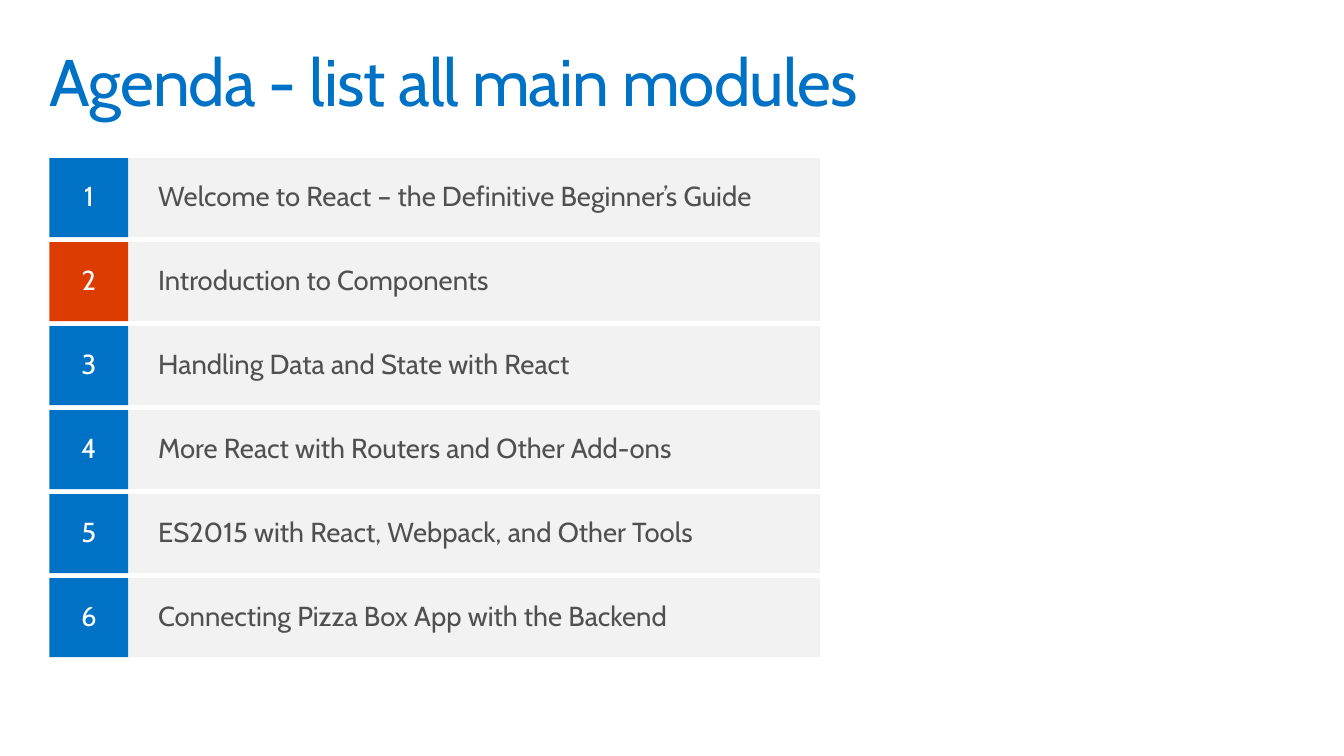
from dataclasses import dataclass

from pptx import Presentation
from pptx import util as u
from pptx.dml.color import RGBColor
from pptx.enum import shapes, text


@dataclass(frozen=True)
class Theme:
    font: str = "Cabin"
    blue: str = "0072C6"
    orange: str = "DC3C00"
    panel: str = "F2F2F2"
    ink: str = "505050"
    white: str = "FFFFFF"
    title_size: int = 48
    body_size: int = 20


MODULES = [
    "Welcome to React – the Definitive Beginner’s Guide",
    "Introduction to Components",
    "Handling Data and State with React",
    "More React with Routers and Other Add-ons",
    "ES2015 with React, Webpack, and Other Tools",
    "Connecting Pizza Box App with the Backend",
]
CURRENT_MODULE = 2
LEFT, TOP = 0.5, 1.6
ROW_HEIGHT, ROW_GAP = 0.8, 0.05
LABEL_WIDTH = 7


def write(tf, content, *, font, size, color, align=text.PP_ALIGN.LEFT,
          anchor=text.MSO_ANCHOR.MIDDLE, inset=(0.1, 0.1), spacing=None):
    """Fill a text frame; inset is (horizontal, vertical) in inches, spacing in points."""
    tf.word_wrap = True
    tf.auto_size = text.MSO_AUTO_SIZE.NONE
    tf.vertical_anchor = anchor
    tf.margin_left = tf.margin_right = u.Inches(inset[0])
    tf.margin_top = tf.margin_bottom = u.Inches(inset[1])
    p = tf.paragraphs[0]
    p.alignment = align
    p.line_spacing = 0.9
    r = p.add_run()
    r.text = content
    r.font.name = font
    r.font.size = u.Pt(size)
    r.font.color.rgb = RGBColor.from_string(color)
    if spacing is not None:
        r.font._element.set("spc", str(round(spacing * 100)))


class SlideBuilder:
    def __init__(self, prs, theme):
        self.theme = theme
        self.slide = prs.slides.add_slide(prs.slide_layouts[5])

    def title(self, content, left, top, width, height):
        sp = self.slide.shapes.title
        sp.left, sp.top = u.Inches(left), u.Inches(top)
        sp.width, sp.height = u.Inches(width), u.Inches(height)
        write(sp.text_frame, content, font=self.theme.font,
              size=self.theme.title_size, color=self.theme.blue,
              anchor=text.MSO_ANCHOR.TOP, spacing=-0.7)

    def box(self, content, left, top, width, height, fill, color, **style):
        sp = self.slide.shapes.add_shape(
            shapes.MSO_SHAPE.RECTANGLE, u.Inches(left), u.Inches(top),
            u.Inches(width), u.Inches(height))
        sp.shadow.inherit = False
        sp.fill.solid()
        sp.fill.fore_color.rgb = RGBColor.from_string(fill)
        sp.line.fill.background()
        write(sp.text_frame, content, font=self.theme.font,
              size=self.theme.body_size, color=color, **style)

    def agenda_row(self, number, label, top, current):
        t = self.theme
        self.box(str(number), LEFT, top, ROW_HEIGHT, ROW_HEIGHT,
                 t.orange if current else t.blue, t.white,
                 align=text.PP_ALIGN.CENTER, inset=(0.2, 0.16))
        self.box(label, LEFT + ROW_HEIGHT, top, LABEL_WIDTH, ROW_HEIGHT,
                 t.panel, t.ink, inset=(0.3, 0.1))


def main():
    prs = Presentation()
    prs.slide_width, prs.slide_height = u.Inches(13.6), u.Inches(7.65)
    agenda = SlideBuilder(prs, Theme())
    agenda.title("Agenda - list all main modules", 0.4, 0.4, 12.8, 1)
    for i, label in enumerate(MODULES):
        top = TOP + i * (ROW_HEIGHT + ROW_GAP)
        agenda.agenda_row(i + 1, label, top, i + 1 == CURRENT_MODULE)
    prs.save("out.pptx")


if __name__ == "__main__":
    main()
